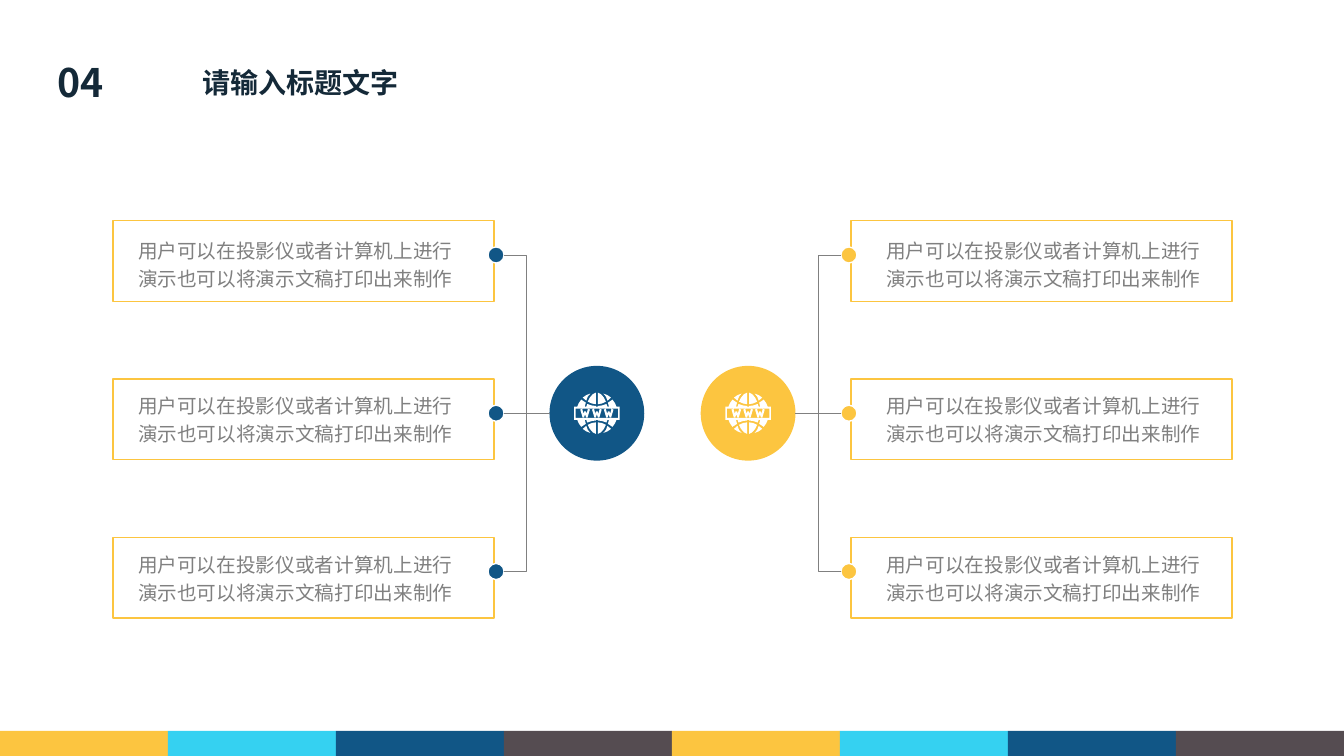
import lxml.etree
import pptx
import pptx.dml.color
import pptx.enum.shapes
import pptx.enum.text
import pptx.oxml.ns
import pptx.util

Inches = pptx.util.Inches
Pt = pptx.util.Pt
Shape = pptx.enum.shapes.MSO_SHAPE
Connector = pptx.enum.shapes.MSO_CONNECTOR
Align = pptx.enum.text.PP_ALIGN
qn = pptx.oxml.ns.qn

MIRROR_WIDTH = 13.34
MIDDLE = 4.1
ROW_PITCH = 1.57
BODY = "用户可以在投影仪或者计算机上进行演示也可以将演示文稿打印出来制作"

QUARTER = [
    [(10.5, 12.5), (14, 15.5), (10.5, 18), (6.5, 19.5), (9, 16.5)],
    [(1, 9), (5, 9.7), (9, 11.5), (7, 15.5), (4, 19), (1, 20.5)],
    [(1, 6.5), (10.5, 6.5), (9.5, 9.2), (5, 7.7), (1, 7.2)],
    [(12, 6.5), (19.5, 6.5), (18, 10), (15.5, 13.5), (11, 10.5)],
]
LETTER = [(-2.8, -4.3), (-1.5, 0.5), (-0.8, -1.8), (0.8, -1.8), (1.5, 0.5),
          (2.8, -4.3), (4.8, -3.7), (2.5, 4), (1, 4), (0, 1), (-1, 4),
          (-2.5, 4), (-4.8, -3.7)]


def color(hex_code):
    return pptx.dml.color.RGBColor.from_string(hex_code)


def frame_outline(half_width, half_height):
    return [(-half_width, -half_height), (half_width, -half_height),
            (half_width, half_height), (-half_width, half_height)]


def globe_outlines():
    panes = [[(x * sx, y * sy) for x, y in pane]
             for sx in (1, -1) for sy in (1, -1) for pane in QUARTER]
    letters = [[(x + shift, y) for x, y in LETTER] for shift in (-11.7, 0, 11.7)]
    return panes + [frame_outline(22.5, 6.5), frame_outline(21, 4.5)] + letters


class Deck:
    yellow, cyan, blue, brown = "FCC540", "35D1F1", "115686", "554C51"
    ink, gray, white = "142938", "808080", "FFFFFF"
    heading_font, body_font = "Noto Sans CJK SC", "Arial"

    def __init__(self):
        self.presentation = pptx.Presentation()
        self.presentation.slide_width = Inches(13.33)
        self.presentation.slide_height = Inches(7.5)
        self.slide = self.presentation.slides.add_slide(
            self.presentation.slide_layouts[5])
        self.shapes = self.slide.shapes

    def set_words(self, holder, words, align, wrap, spacing, font):
        frame = holder.text_frame
        layout = {"word_wrap": wrap,
                  "auto_size": pptx.enum.text.MSO_AUTO_SIZE.NONE,
                  "vertical_anchor": pptx.enum.text.MSO_ANCHOR.TOP}
        for key, value in layout.items():
            setattr(frame, key, value)
        paragraph = frame.paragraphs[0]
        paragraph.alignment = align
        paragraph.line_spacing = spacing
        run = paragraph.add_run()
        run.text = words
        for key, value in font.items():
            setattr(run.font, key, value)
        run.font.color.rgb = color(self.ink if font["bold"] else self.gray)
        east_asian = lxml.etree.SubElement(run.font._element, qn("a:ea"))
        east_asian.set("typeface", self.heading_font)

    def heading_style(self, size):
        return {"name": self.heading_font, "size": Pt(size), "bold": True}

    def title(self, words, left, top, width, height):
        heading = self.shapes.title
        place = {"left": left, "top": top, "width": width, "height": height}
        for key, value in place.items():
            setattr(heading, key, Inches(value))
        self.set_words(heading, words, Align.LEFT, False, 1.0, self.heading_style(20))

    def number(self, words, *place):
        box = self.shapes.add_textbox(*map(Inches, place))
        self.set_words(box, words, Align.CENTER, True, 1.0, self.heading_style(28))

    def body(self, words, *place):
        box = self.shapes.add_textbox(*map(Inches, place))
        self.set_words(box, words, Align.CENTER, True, 1.2,
                       {"name": self.body_font, "size": Pt(14), "bold": False})

    def paint(self, shape, fill, line=None):
        shape.shadow.inherit = False
        shape.fill.solid()
        shape.fill.fore_color.rgb = color(fill)
        if line:
            shape.line.color.rgb = color(line)
            shape.line.width = Pt(1)
        else:
            shape.line.fill.background()

    def block(self, kind, place, fill, line=None):
        self.paint(self.shapes.add_shape(kind, *map(Inches, place)), fill, line)

    def link(self, kind, *ends):
        link = self.shapes.add_connector(kind, *map(Inches, ends))
        link.line.color.rgb = color(self.gray)
        link.line.width = Pt(0.5)
        lxml.etree.SubElement(link._element.spPr, qn("a:effectLst"))

    def globe(self, center_x, center_y):
        outlines = [[(Inches(center_x + x / 100), Inches(center_y + y / 100))
                     for x, y in outline] for outline in globe_outlines()]
        builder = self.shapes.build_freeform(*outlines[0][0])
        for outline in outlines:
            builder.move_to(*outline[0])
            builder.add_line_segments(outline[1:], close=True)
        self.paint(builder.convert_to_shape(), self.white)

    def branch(self, accent, mirrored):
        def across(left, width=0):
            return MIRROR_WIDTH - left - width if mirrored else left

        self.block(Shape.OVAL, (across(6.95, 0.94), 3.63, 0.94, 0.94), accent)
        for row in (-1, 0, 1):
            center = MIDDLE + row * ROW_PITCH
            self.block(Shape.RECTANGLE,
                       (across(8.44, 3.78), center - 0.34, 3.78, 0.8),
                       self.white, self.yellow)
            self.block(Shape.OVAL,
                       (across(8.34, 0.16), center - 0.08, 0.16, 0.16),
                       accent, self.white)
            self.link(Connector.ELBOW if row else Connector.STRAIGHT,
                      across(8.34), center, across(7.89), MIDDLE)
        self.globe(across(7.42), MIDDLE)


def main():
    deck = Deck()
    deck.number("04", 0.45, 0.53, 0.69, 0.57)
    tile = 13.33 / 8
    for index, fill in enumerate([deck.yellow, deck.cyan, deck.blue, deck.brown] * 2):
        deck.block(Shape.RECTANGLE, (index * tile, 7.25, tile, 0.25), fill)
    deck.title("请输入标题文字", 1.91, 0.6, 2.17, 0.44)
    deck.branch(deck.yellow, False)
    deck.branch(deck.blue, True)
    for left in (1.23, 8.65):
        for top in (2.27, 3.81, 5.39):
            deck.body(BODY, left, top, 3.4, 0.67)
    deck.presentation.save("out.pptx")


if __name__ == "__main__":
    main()
